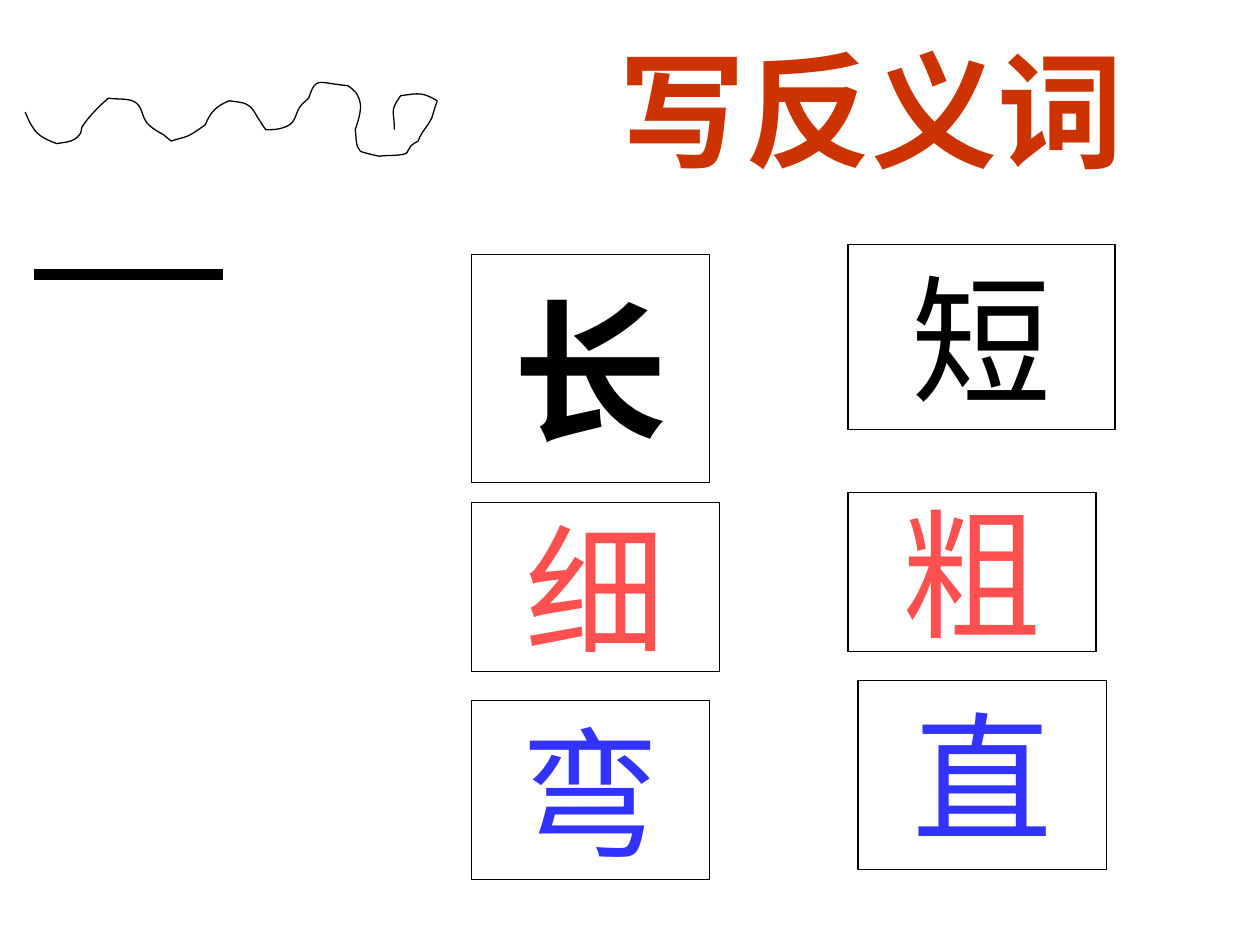
import pptx
import pptx.util
import pptx.dml.color
import pptx.enum.shapes
import pptx.enum.text
import lxml.etree

Inches, Pt = pptx.util.Inches, pptx.util.Pt
qn = pptx.oxml.ns.qn
FONT = "Times New Roman"
COLORS = {"black": "000000", "red": "FF5050", "blue": "3333FF", "title": "CC3300"}

# Content: word, left, top, width, height, size, colour, bold
TITLE = "写反义词"
CARDS = [
    ("长", 3.74, 2.02, 1.89, 1.81, 88, "black", True),
    ("细", 3.74, 3.99, 1.97, 1.34, 80, "red", False),
    ("粗", 6.73, 3.91, 1.97, 1.26, 80, "red", False),
    ("弯", 3.74, 5.56, 1.89, 1.42, 80, "blue", False),
    ("直", 6.81, 5.4, 1.97, 1.5, 80, "blue", False),
    ("短", 6.73, 1.94, 2.12, 1.47, 80, "black", False),
]

# Thin bent line: a start, then two handles and an end for each curve
START = (0.2, 0.89)
CURVES = [
    (0.22, 0.93, 0.23, 0.97, 0.26, 1.01), (0.3, 1.08, 0.37, 1.11, 0.45, 1.14),
    (0.51, 1.13, 0.59, 1.13, 0.63, 1.07), (0.65, 1.06, 0.64, 1.03, 0.65, 1.01),
    (0.7, 0.93, 0.79, 0.84, 0.86, 0.78), (0.93, 0.79, 0.99, 0.78, 1.05, 0.8),
    (1.14, 0.83, 1.12, 0.94, 1.18, 0.99), (1.21, 1.02, 1.26, 1.05, 1.3, 1.07),
    (1.32, 1.09, 1.36, 1.12, 1.36, 1.12), (1.38, 1.11, 1.48, 1.09, 1.51, 1.07),
    (1.55, 1.05, 1.63, 0.99, 1.63, 0.99), (1.67, 0.89, 1.72, 0.84, 1.82, 0.8),
    (1.88, 0.81, 1.95, 0.81, 1.99, 0.85), (2.02, 0.88, 2.04, 0.93, 2.07, 0.97),
    (2.08, 0.99, 2.11, 1.03, 2.11, 1.03), (2.16, 1.03, 2.21, 1.03, 2.26, 1.01),
    (2.35, 0.98, 2.34, 0.91, 2.38, 0.85), (2.4, 0.82, 2.43, 0.8, 2.45, 0.78),
    (2.51, 0.6, 2.52, 0.66, 2.76, 0.68), (2.9, 0.77, 2.87, 0.88, 2.82, 1.03),
    (2.83, 1.09, 2.82, 1.16, 2.86, 1.2), (2.87, 1.21, 3.01, 1.24, 3.01, 1.24),
    (3.08, 1.23, 3.15, 1.24, 3.22, 1.22), (3.24, 1.21, 3.24, 1.18, 3.26, 1.16),
    (3.28, 1.14, 3.3, 1.13, 3.32, 1.12), (3.34, 1.05, 3.4, 1, 3.43, 0.93),
    (3.44, 0.89, 3.47, 0.8, 3.47, 0.8), (3.35, 0.73, 3.33, 0.74, 3.18, 0.76),
    (3.09, 0.89, 3.13, 0.87, 3.13, 1.03),
]


def rgb(name):
    return pptx.dml.color.RGBColor.from_string(COLORS[name])


def outline(shape, width):
    shape.line.color.rgb = rgb("black")
    shape.line.width = Pt(width)


def clear(shape):
    shape.shadow.inherit = False
    shape.fill.background()
    outline(shape, 0.75)


def write(shape, text, size, color, bold):
    para = shape.text_frame.paragraphs[0]
    para.text = text
    font = para.font
    font.name, font.size, font.bold = FONT, Pt(size), bold
    font.color.rgb = rgb(color)
    return para


def curve(shape):
    """Turn each three line segments into one cubic curve."""
    lines = list(shape._element.iter(qn("a:lnTo")))
    for first in range(0, len(lines), 3):
        trio = lines[first:first + 3]
        bezier = lxml.etree.Element(qn("a:cubicBezTo"))
        trio[0].addprevious(bezier)
        for line in trio:
            bezier.append(line[0])
            line.getparent().remove(line)


prs = pptx.Presentation()
prs.slide_width, prs.slide_height = Inches(10), Inches(7.5)
shapes = prs.slides.add_slide(prs.slide_layouts[6]).shapes

# Thin bent line
pen = shapes.build_freeform(*map(Inches, START))
points = [(Inches(c[i]), Inches(c[i + 1])) for c in CURVES for i in (0, 2, 4)]
pen.add_line_segments(points, close=False)
bend = pen.convert_to_shape()
curve(bend)
clear(bend)

# Thick straight line
bar = shapes.add_connector(
    pptx.enum.shapes.MSO_CONNECTOR.STRAIGHT,
    Inches(0.27), Inches(2.18), Inches(1.77), Inches(2.18),
)
outline(bar, 6)
lxml.etree.SubElement(bar._element.spPr, qn("a:effectLst"))

# Word cards
for word, left, top, width, height, size, color, bold in CARDS:
    card = shapes.add_shape(
        pptx.enum.shapes.MSO_SHAPE.RECTANGLE,
        Inches(left), Inches(top), Inches(width), Inches(height),
    )
    clear(card)
    card.text_frame.word_wrap = False
    card.text_frame.vertical_anchor = pptx.enum.text.MSO_ANCHOR.MIDDLE
    para = write(card, word, size, color, bold)
    para.alignment = pptx.enum.text.PP_ALIGN.CENTER

# Title
box = shapes.add_textbox(Inches(4.82), Inches(0.21), Inches(5.18), Inches(1.3))
box.text_frame.word_wrap = True
write(box, TITLE, 72, "title", True)

prs.save("out.pptx")
